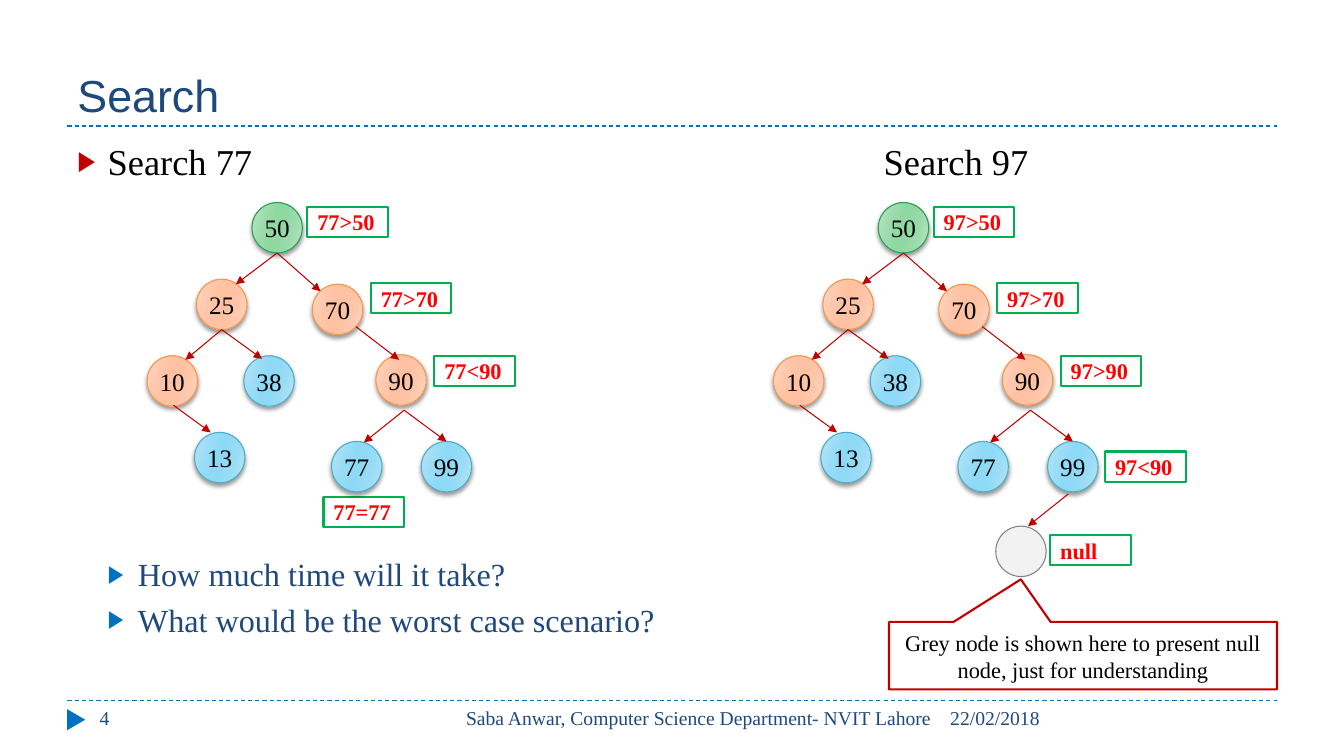
from dataclasses import dataclass
from lxml import etree
from pptx import Presentation
from pptx.dml.color import RGBColor
from pptx.enum.dml import MSO_LINE
from pptx.enum.shapes import MSO_CONNECTOR, MSO_SHAPE
from pptx.enum.text import MSO_ANCHOR, PP_ALIGN
from pptx.oxml.ns import qn
from pptx.util import Emu, Inches, Pt

LEFT, CENTER, RIGHT = PP_ALIGN.LEFT, PP_ALIGN.CENTER, PP_ALIGN.RIGHT
TOP, MIDDLE, BOTTOM = MSO_ANCHOR.TOP, MSO_ANCHOR.MIDDLE, MSO_ANCHOR.BOTTOM
STRAIGHT, DASH = MSO_CONNECTOR.STRAIGHT, MSO_LINE.DASH
ELLIPSE, RECT = MSO_SHAPE.OVAL, MSO_SHAPE.RECTANGLE
TRIANGLE, CALLOUT = MSO_SHAPE.ISOSCELES_TRIANGLE, MSO_SHAPE.RECTANGULAR_CALLOUT


@dataclass(frozen=True)
class Theme:
    head_font: str = "Arial"
    font: str = "Times New Roman"
    title: int = 32
    heading: int = 26
    question: int = 23
    node: int = 18
    note: int = 16
    footer: int = 14
    navy: str = "1F497D"
    blue: str = "0070C0"
    red: str = "C00000"
    bright_red: str = "FF0000"
    green: str = "00B050"
    black: str = "000000"
    white: str = "FFFFFF"
    pale: str = "F2F2F2"
    grey: str = "808080"
    # Node kinds: edge, then gradient from rim to middle
    root: tuple = ("279D57", "BBE4C5", "9BDBAB", "8FD8A1")
    inner: tuple = ("F79646", "FFD7C5", "FFC6AA", "FFC1A1")
    leaf: tuple = ("4BACC6", "B9E5F7", "99DCF6", "8DD9F6")


T = Theme()

# Square grid: 15 rows on the slide, and a tree node fills one cell
CELL = Inches(7.5) // 15

# Tree parts in cells from the tree's top left corner
NODES = [("38", 1.92, 3.04, T.leaf), ("10", 0, 3.04, T.inner),
         ("70", 3.28, 1.62, T.inner), ("25", 0.98, 1.52, T.inner),
         ("50", 2.08, 0, T.root), ("90", 4.54, 3.02, T.inner),
         ("99", 5.44, 4.74, T.leaf), ("77", 3.66, 4.74, T.leaf),
         ("13", 0.94, 4.56, T.leaf)]
EDGES = [(2.58, 1, 1.76, 1.62), (2.58, 1, 3.44, 1.76),
         (1.48, 2.52, 0.76, 3.12), (1.48, 2.52, 2.28, 3.1),
         (4.14, 2.46, 5, 3.12), (5.1, 4.12, 4.3, 4.76),
         (5.1, 4.12, 5.94, 4.74), (0.52, 4.02, 1.26, 4.56)]
STEP_SPOTS = [(3.18, 0.08), (4.44, 1.6), (5.7, 3.04)]


def cells(*values):
    return [Emu(round(v * CELL)) for v in values]


def color(code):
    return RGBColor.from_string(code)


def add(parent, tag, **attrs):
    return etree.SubElement(parent, qn(tag), attrs)


def write(shape, lines, size, ink, align=LEFT, anchor=TOP, font=T.font, bold=False):
    tf = shape.text_frame
    tf.word_wrap, tf.vertical_anchor = True, anchor
    tf.text = "\n".join(lines)
    for p in tf.paragraphs:
        p.alignment = align
        for r in p.runs:
            r.font.name, r.font.size, r.font.bold = font, Pt(size), bold
            r.font.color.rgb = color(ink)
    return tf


def text(s, box, lines, size, ink, **style):
    return write(s.shapes.add_textbox(*cells(*box)), lines, size, ink, **style)


def shape(s, kind, box, fill=None, edge=None, width=0.75):
    sp = s.shapes.add_shape(kind, *cells(*box))
    sp.shadow.inherit = False
    if fill:
        sp.fill.solid()
        sp.fill.fore_color.rgb = color(fill)
    else:
        sp.fill.background()
    if edge:
        sp.line.color.rgb, sp.line.width = color(edge), Pt(width)
    else:
        sp.line.fill.background()
    return sp


def line(s, ends, ink, dash=None, arrow=False):
    c = s.shapes.add_connector(STRAIGHT, *cells(*ends))
    c.line.color.rgb, c.line.width = color(ink), Pt(0.75)
    if dash:
        c.line.dash_style = dash
    if arrow:
        add(c.line._get_or_add_ln(), "a:tailEnd", type="triangle")
    add(c._element.spPr, "a:effectLst")


def bullet(p, ink, indent, before, tab=None):
    p.space_before = Pt(before)
    pPr = p._p.get_or_add_pPr()
    pPr.set("marL", str(Inches(indent)))
    pPr.set("indent", str(-Inches(0.3)))
    add(add(pPr, "a:buClr"), "a:srgbClr", val=ink)
    add(pPr, "a:buSzPct", val="76000")
    add(pPr, "a:buFont", typeface="Arial")
    add(pPr, "a:buChar", char="\u25b6")
    if tab:
        add(add(pPr, "a:tabLst"), "a:tab", pos=str(cells(tab)[0]), algn="l")


def node(s, x, y, value, kind):
    edge, rim, mid, core = kind
    sp = shape(s, ELLIPSE, (x, y, 1, 1), edge=edge)
    # Glossy gradient, symmetric about the middle
    sp.fill.gradient()
    sp.fill.gradient_angle = 344
    stops = sp._element.spPr.find(".//" + qn("a:gsLst"))
    for stop in list(stops):
        stops.remove(stop)
    for at, ink in zip((0, 30, 45, 55, 73, 100), (rim, mid, core, core, mid, rim)):
        add(add(stops, "a:gs", pos=str(at * 1000)), "a:srgbClr", val=ink)
    # Soft shadow below
    shadow = add(sp._element.spPr.find(qn("a:effectLst")), "a:outerShdw",
                 blurRad=str(Pt(3)), dist=str(Pt(2)), dir="5400000", rotWithShape="0")
    add(add(shadow, "a:srgbClr", val=T.black), "a:alpha", val="40000")
    tf = write(sp, [value], T.node, T.black, align=CENTER, anchor=MIDDLE)
    tf.margin_left = tf.margin_right = 0


def step(s, x, y, label):
    sp = shape(s, RECT, (x, y, 1.6, 0.6), edge=T.green, width=1.5)
    write(sp, [label], T.note, T.bright_red, anchor=MIDDLE, bold=True)


def tree(s, x, y, labels, last):
    for (dx, dy), label in zip(STEP_SPOTS + [last], labels):
        step(s, x + dx, y + dy, label)
    for value, dx, dy, kind in NODES:
        node(s, x + dx, y + dy, value, kind)
    for x1, y1, x2, y2 in EDGES:
        line(s, (x + x1, y + y1, x + x2, y + y2), T.red, arrow=True)


def null_branch(s, x, y):
    shape(s, ELLIPSE, (x, y, 1, 1), T.pale, T.grey)
    line(s, (x + 1.44, y - 0.64, x + 0.64, y), T.red, arrow=True)
    step(s, x + 1.08, y + 0.18, "null")
    # Callout pointing at the empty node
    sp = shape(s, CALLOUT, (x - 2.12, y + 1.9, 7.7, 1.34), T.white, T.red, 1.5)
    sp.adjustments[0], sp.adjustments[1] = -0.16, -1.13
    write(sp, ["Grey node is shown here to present null node, just for understanding"],
          T.note, T.black, align=CENTER, anchor=MIDDLE)


def header(s, x, y, w, h):
    line(s, (x, y + h, x + w, y + h), T.blue, DASH)
    text(s, (x, y, w, h), ["Search"], T.title, T.navy, anchor=BOTTOM, font=T.head_font)


def body(s, x, y, w):
    tf = text(s, (x, y, w, 1.1), ["Search 77\tSearch 97"], T.heading, T.black)
    bullet(tf.paragraphs[0], T.red, 0.3, 6, tab=16)
    tf = text(s, (x, y + 8.24, w / 2 + 2, 2), ["How much time will it take?",
              "What would be the worst case scenario?"], T.question, T.navy)
    for p in tf.paragraphs:
        bullet(p, T.blue, 0.6, 5)


def footer(s, x, y, w, h):
    line(s, (x, y, x + w, y), T.blue, DASH)
    shape(s, TRIANGLE, (x - 0.04, y + 0.2, 0.42, 0.36), T.blue).rotation = 90
    for dx, width, words, align in (
            (0.44, 5.78, "4", LEFT),
            (7.12, 10.22, "Saba Anwar, Computer Science Department- NVIT Lahore", RIGHT),
            (17.32, 6.68, "22/02/2018", LEFT)):
        text(s, (x + dx, y, width, h), [words], T.footer, T.navy, align=align)


prs = Presentation()
prs.slide_width, prs.slide_height = cells(26.67, 15)
s = prs.slides.add_slide(prs.slide_layouts[6])
header(s, 1.34, 0.34, 24, 2.16)
body(s, 1.34, 2.66, 24)
tree(s, 2.92, 4.02, ["77>50", "77>70", "77<90", "77=77"], last=(3.5, 5.84))
tree(s, 15.35, 4.02, ["97>50", "97>70", "97>90", "97<90"], last=(6.58, 4.94))
null_branch(s, 19.76, 10.44)
footer(s, 1.34, 13.9, 24, 0.8)
prs.save("out.pptx")
